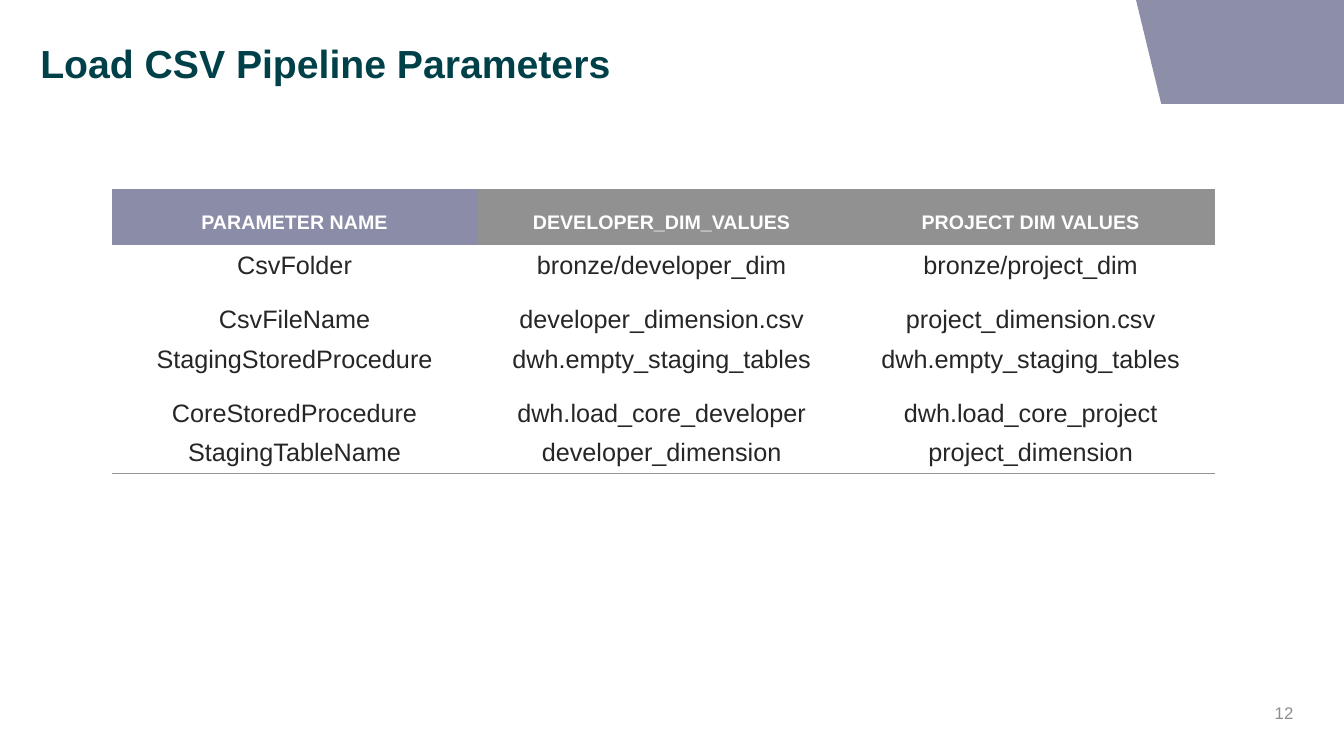
from dataclasses import dataclass

import lxml.etree
import pptx
import pptx.dml.color
import pptx.enum.text
import pptx.oxml.ns
import pptx.util

# Slide grid: 120 columns by 75 rows
WIDE = pptx.util.Inches(13.333)
HIGH = pptx.util.Inches(7.5)
FONT = "Arial"
RULE = "919491"
ALIGN = pptx.enum.text.PP_ALIGN
ANCHOR = pptx.enum.text.MSO_ANCHOR


@dataclass(frozen=True)
class Style:
    size: int
    color: str
    bold: bool = False
    align: ALIGN = ALIGN.CENTER


@dataclass(frozen=True)
class Row:
    texts: tuple[str, str, str]
    fills: tuple[str, str, str] = ("FFFFFF",) * 3
    style: Style = Style(18, "252625")
    space: float = 1.0
    high: float = 4.1
    rule: bool = True


ROWS = [
    Row(("PARAMETER NAME", "DEVELOPER_DIM_VALUES", "PROJECT DIM VALUES"),
        ("8B8DA8", "919191", "919191"), Style(14, "FFFFFF", True), 1.5, 5.5, False),
    Row(("CsvFolder", "bronze/developer_dim", "bronze/project_dim")),
    Row(("CsvFileName", "developer_dimension.csv", "project_dimension.csv"), space=1.5),
    Row(("StagingStoredProcedure", "dwh.empty_staging_tables", "dwh.empty_staging_tables")),
    Row(("CoreStoredProcedure", "dwh.load_core_developer", "dwh.load_core_project"), space=1.5),
    Row(("StagingTableName", "developer_dimension", "project_dimension")),
]
COLS = (32.6, 32.95, 32.95)


def across(cols: float) -> int:
    return round(WIDE * cols / 120)


def down(rows: float) -> int:
    return round(HIGH * rows / 75)


def box(left: float, top: float, wide: float, high: float) -> tuple[int, int, int, int]:
    return across(left), down(top), across(wide), down(high)


def tint(target, color: str) -> None:
    """Give a fill one solid colour."""
    target.solid()
    target.fore_color.rgb = pptx.dml.color.RGBColor.from_string(color)


def write(frame, text: str, style: Style, space: float = 1.0) -> None:
    para = frame.paragraphs[0]
    para.alignment = style.align
    para.line_spacing = space
    run = para.add_run()
    run.text = text
    run.font.name = FONT
    run.font.size = pptx.util.Pt(style.size)
    run.font.bold = style.bold
    tint(run.font.fill, style.color)


def edge(cell, ruled: bool) -> None:
    """Leave every side open except a ruled bottom."""
    props = cell._tc.get_or_add_tcPr()
    name = pptx.oxml.ns.qn
    for side in ("lnL", "lnR", "lnT", "lnB"):
        line = lxml.etree.SubElement(props, name("a:" + side), w=str(pptx.util.Pt(1)))
        if ruled and side == "lnB":
            fill = lxml.etree.SubElement(line, name("a:solidFill"))
            lxml.etree.SubElement(fill, name("a:srgbClr"), val=RULE)
        else:
            lxml.etree.SubElement(line, name("a:noFill"))


def corner(slide) -> None:
    draft = slide.shapes.build_freeform(across(101.43), 0)
    draft.add_line_segments([(WIDE, 0), (WIDE, down(10.3)), (across(103.68), down(10.3))])
    shape = draft.convert_to_shape()
    shape.shadow.inherit = False
    tint(shape.fill, "8D8EA8")
    shape.line.fill.background()


def title(slide, text: str) -> None:
    shape = slide.shapes.title
    shape.left, shape.top, shape.width, shape.height = box(3.6, 4.4, 97.83, 8.7)
    frame = shape.text_frame
    frame.margin_left = frame.margin_right = frame.margin_top = frame.margin_bottom = 0
    frame.auto_size = pptx.enum.text.MSO_AUTO_SIZE.NONE
    frame.vertical_anchor = ANCHOR.TOP
    write(frame, text, Style(28, "004149", True, ALIGN.LEFT), 0.9)


def grid(slide) -> None:
    high = sum(row.high for row in ROWS)
    place = box(10, 18.8, sum(COLS), high)
    table = slide.shapes.add_table(len(ROWS), len(COLS), *place).table
    table.first_row = table.horz_banding = False
    for col, wide in zip(table.columns, COLS):
        col.width = across(wide)
    for line, row in zip(table.rows, ROWS):
        line.height = down(row.high)
        for cell, text, fill in zip(line.cells, row.texts, row.fills):
            cell.vertical_anchor = ANCHOR.MIDDLE
            edge(cell, row.rule)
            tint(cell.fill, fill)
            write(cell.text_frame, text, row.style, row.space)


def number(slide, text: str) -> None:
    frame = slide.shapes.add_textbox(*box(89.37, 69.5, 27, 2.4)).text_frame
    frame.word_wrap = True
    frame.vertical_anchor = ANCHOR.MIDDLE
    write(frame, text, Style(12, "8E8E8E", align=ALIGN.RIGHT))


def main() -> None:
    deck = pptx.Presentation()
    deck.slide_width, deck.slide_height = WIDE, HIGH
    slide = deck.slides.add_slide(deck.slide_layouts.get_by_name("Title Only"))
    corner(slide)
    title(slide, "Load CSV Pipeline Parameters")
    grid(slide)
    number(slide, "12")
    deck.save("out.pptx")


if __name__ == "__main__":
    main()
